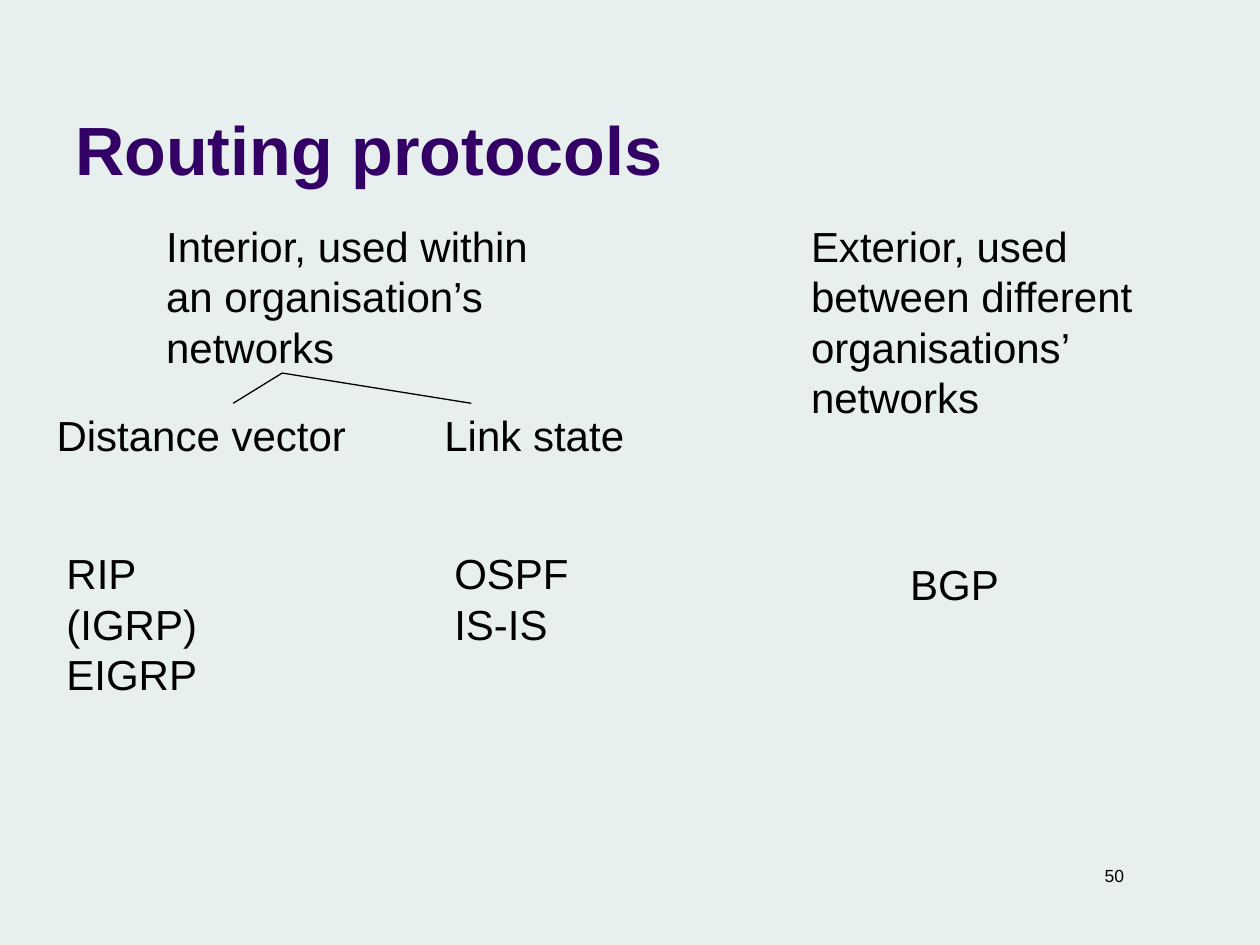
from pptx import Presentation
from pptx import util as u
from pptx.dml.color import RGBColor
from pptx.enum import shapes, text
from pptx.oxml.ns import qn
from lxml import etree

BACKGROUND = RGBColor(0xE7, 0xEF, 0xEF)
PURPLE = RGBColor(0x33, 0x00, 0x66)
BLACK = RGBColor(0, 0, 0)


def add_text(slide, words, left, top, width, height, size=24, color=BLACK,
             bold=False, align=text.PP_ALIGN.LEFT,
             anchor=text.MSO_ANCHOR.TOP, space_before=0):
    """Place a text box, one paragraph per line of words; lengths in cm."""
    box = slide.shapes.add_textbox(*map(u.Cm, (left, top, width, height)))
    frame = box.text_frame
    frame.word_wrap = True
    frame.vertical_anchor = anchor
    frame.text = words
    for paragraph in frame.paragraphs:
        paragraph.alignment = align
        paragraph.space_before = u.Pt(space_before)
        font = paragraph.runs[0].font
        font.name, font.size, font.bold = "Arial", u.Pt(size), bold
        font.color.rgb = color


def add_branch(slide, x1, y1, x2, y2):
    branch = slide.shapes.add_connector(
        shapes.MSO_CONNECTOR.STRAIGHT, *map(u.Cm, (x1, y1, x2, y2)))
    branch.line.color.rgb = BLACK
    branch.line.width = u.Pt(0.75)
    etree.SubElement(branch._element.spPr, qn("a:effectLst"))


def add_title(slide, left, top, width, height):
    add_text(slide, "Routing protocols", left, top, width, height, size=39,
             color=PURPLE, bold=True, anchor=text.MSO_ANCHOR.BOTTOM)


def add_interior(slide, left, top):
    add_text(slide, "Interior, used within an organisation’s networks",
             left + 2.21, top, 8, 3.3)

    # Fork from the heading to the two families, each with its protocols
    family_top, protocols_top = top + 3.81, top + 6.6
    families = [
        ("Distance vector", 0, 8, 3.81, "RIP\n(IGRP)\nEIGRP", 4.8, 3.3),
        ("Link state", 7.82, 5, 8.61, "OSPF\nIS-IS", 4, 2.29),
    ]
    for family, x, width, tip, protocols, list_width, list_height in families:
        add_branch(slide, left + 4.8, top + 3.2, left + tip, family_top)
        add_text(slide, family, left + x, family_top, width, 1.27)
        add_text(slide, protocols, left + x + 0.2, protocols_top,
                 list_width, list_height)


def add_exterior(slide, left, top):
    add_text(slide, "Exterior, used between different organisations’ networks",
             left, top, 8, 4.32)
    add_text(slide, "BGP", left + 2, top + 6.81, 3.2, 1.27)


def add_page_number(slide, left, top, width, height):
    add_text(slide, "50", left, top, width, height, size=10,
             align=text.PP_ALIGN.RIGHT, space_before=6.2)


def main():
    deck = Presentation()
    deck.slide_width, deck.slide_height = u.Cm(25.4), u.Cm(19.05)
    slide = deck.slides.add_slide(deck.slide_layouts[6])
    slide.background.fill.solid()
    slide.background.fill.fore_color.rgb = BACKGROUND

    add_title(slide, 1.27, 0.33, 20.96, 3.61)
    add_interior(slide, 0.89, 4.32)
    add_exterior(slide, 16.1, 4.32)
    add_page_number(slide, 17.7, 17.32, 5.21, 0.69)
    deck.save("out.pptx")


if __name__ == "__main__":
    main()
